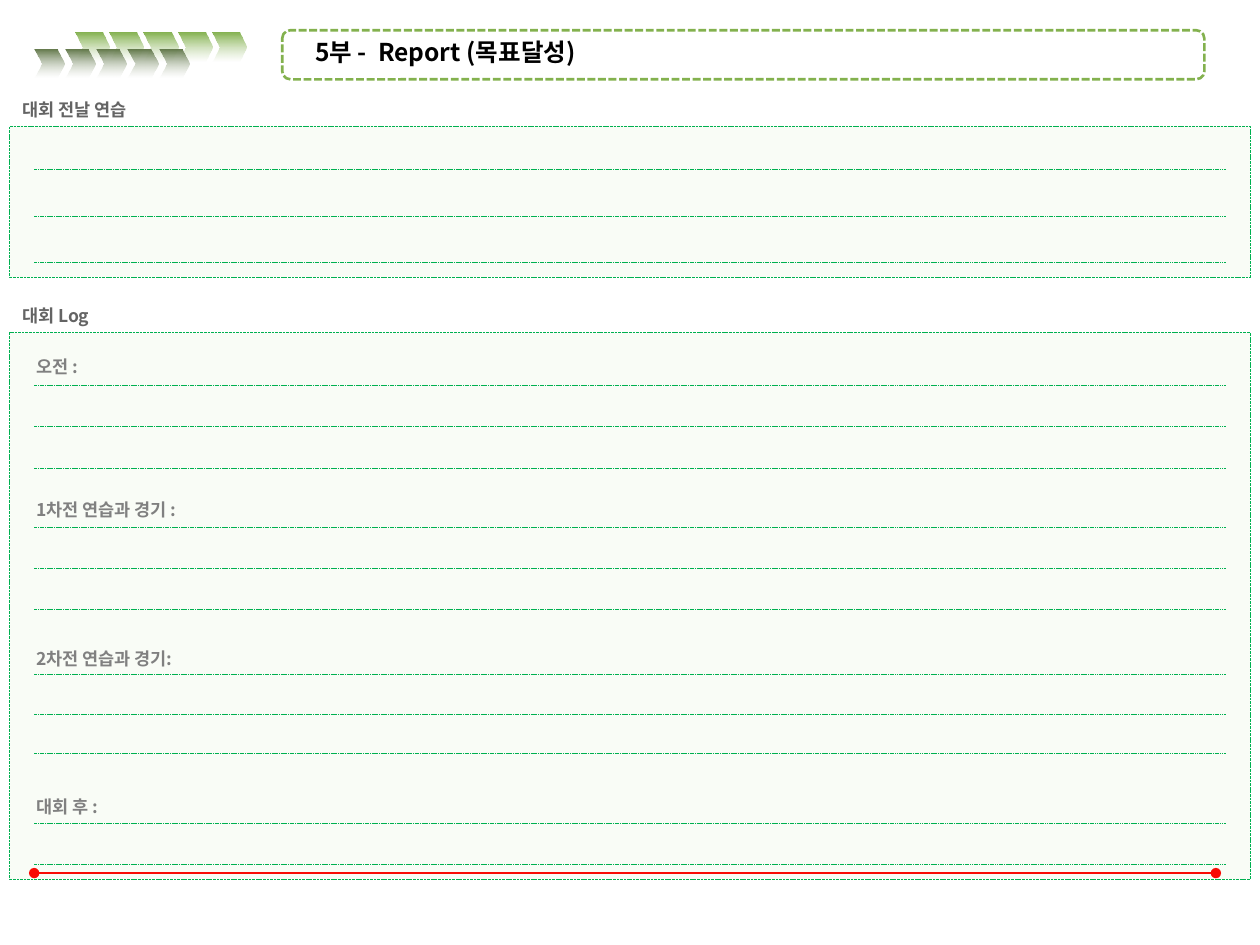
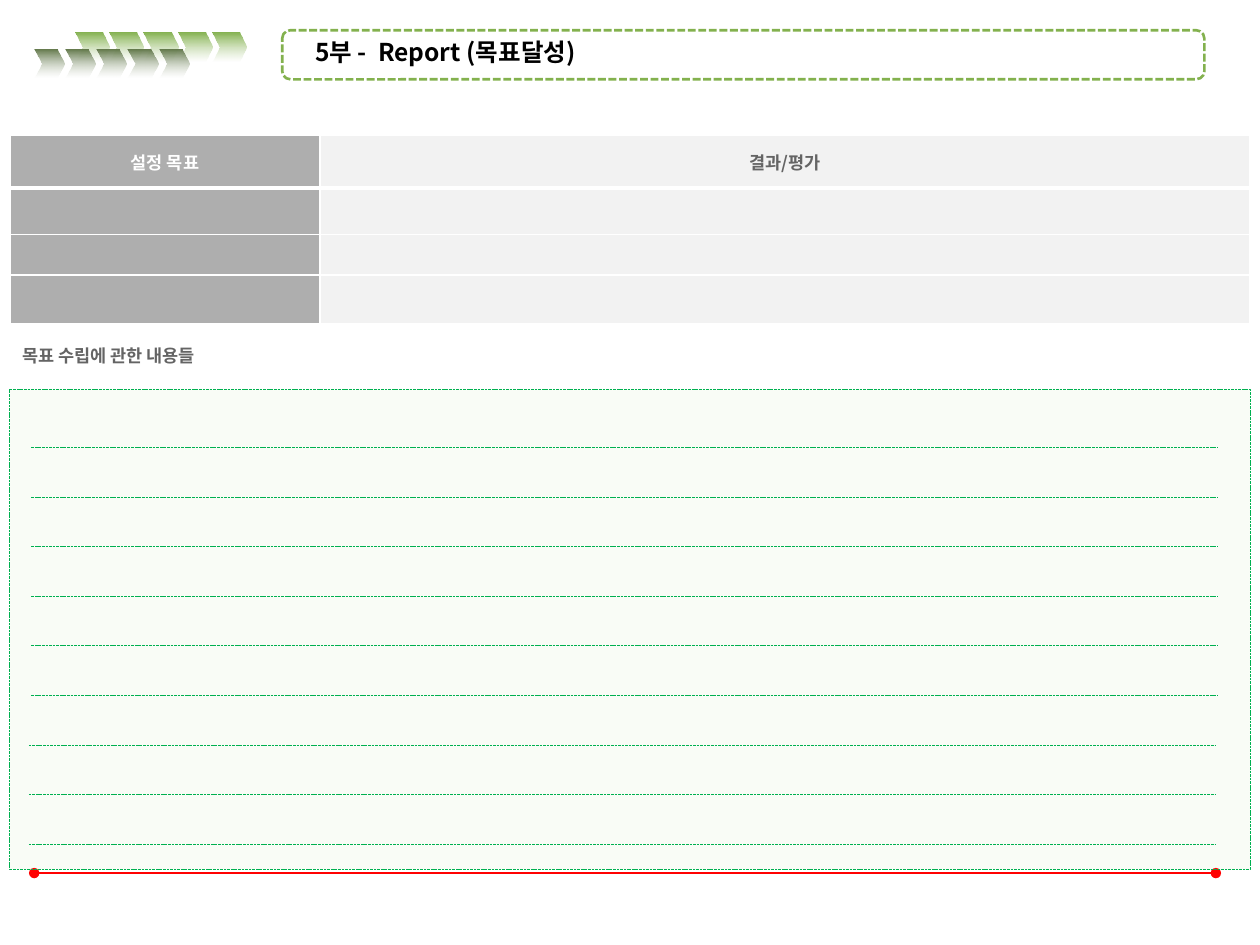
from lxml import etree
from pptx import Presentation
from pptx.dml.color import RGBColor
from pptx.enum.dml import MSO_LINE
from pptx.enum.shapes import MSO_CONNECTOR, MSO_SHAPE
from pptx.enum.text import MSO_ANCHOR, MSO_AUTO_SIZE, PP_ALIGN
from pptx.oxml.ns import qn
from pptx.util import Cm, Pt

STRAIGHT = MSO_CONNECTOR.STRAIGHT
RECT, ROUND_RECT, CHEVRON = MSO_SHAPE.RECTANGLE, MSO_SHAPE.ROUNDED_RECTANGLE, MSO_SHAPE.CHEVRON
SYS_DASH = MSO_LINE.SQUARE_DOT
TOP, MIDDLE = MSO_ANCHOR.TOP, MSO_ANCHOR.MIDDLE
LEFT, CENTER = PP_ALIGN.LEFT, PP_ALIGN.CENTER
GROW, FIXED = MSO_AUTO_SIZE.SHAPE_TO_FIT_TEXT, MSO_AUTO_SIZE.NONE

FONT = "Noto Sans CJK KR"
COLORS = {
    "title": "000000", "label": "646464", "prompt": "808080", "white": "FFFFFF",
    "leaf": "83B14E", "moss": "617749", "panel": "92D050", "rule": "00B050",
    "footer": "FF0101", "goal": "A6A6A6", "result": "F2F2F2",
}
TITLE = "5부 -  Report (목표달성)"
PANEL_LEFT, PANEL_WIDTH = 0.2, 25.0
LABEL_HEIGHT = 0.69
LOG_SECTIONS = [
    ("오전 :", 1.55, 0.35, 1.06, 0.83, 3),
    ("1차전 연습과 경기 :", 4.06, 3.22, 3.91, 0.83, 3),
    ("2차전 연습과 경기:", 4.22, 6.22, 6.89, 0.79, 3),
    ("대회 후 :", 2.08, 9.22, 9.89, 0.83, 2),
]
GOAL_COLUMNS = [6.25, 18.75]
GOAL_ROWS = [1.07, 0.94, 0.81, 0.99]
GOAL_HEADERS = [("설정 목표", "white"), ("결과/평가", "label")]


def rgb(name):
    """Return the named colour."""
    return RGBColor.from_string(COLORS[name])


def box(left, top, width, height):
    """Convert a box in centimetres to lengths."""
    return Cm(left), Cm(top), Cm(width), Cm(height)


def set_alpha(color_element, percent):
    """Give a colour element an opacity."""
    etree.SubElement(color_element, qn("a:alpha")).set("val", str(percent * 1000))


def style_text(p, size, color, align=LEFT):
    """Format a paragraph in the bold deck font."""
    p.alignment = align
    p.font.size, p.font.bold, p.font.name = Pt(size), True, FONT
    p.font.color.rgb = rgb(color)
    props = p._p.find(".//" + qn("a:defRPr"))
    etree.SubElement(props, qn("a:ea")).set("typeface", FONT)


def set_line(line, color, width, dash=None):
    """Set colour, width and dash of a line."""
    line.color.rgb = rgb(color)
    line.width = Pt(width)
    if dash is not None:
        line.dash_style = dash


def add_shape(s, kind, left, top, width, height, adj=None):
    """Add a shape without shadow."""
    sp = s.shapes.add_shape(kind, *box(left, top, width, height))
    sp.shadow.inherit = False
    if adj is not None:
        sp.adjustments[0] = adj
    return sp


def add_rule(s, left, right, y, color="rule", width=0.25, dash=SYS_DASH, ends=None):
    """Add a horizontal line, optionally with end marks."""
    cx = s.shapes.add_connector(STRAIGHT, Cm(left), Cm(y), Cm(right), Cm(y))
    set_line(cx.line, color, width, dash)
    if ends:
        ln = cx.element.spPr.find(qn("a:ln"))
        for tag in ("a:headEnd", "a:tailEnd"):
            etree.SubElement(ln, qn(tag)).set("type", ends)
    etree.SubElement(cx.element.spPr, qn("a:effectLst"))
    return cx


def add_label(s, text, left, top, width, color="label", wrap=False):
    """Add a small bold caption."""
    tf = s.shapes.add_textbox(*box(left, top, width, LABEL_HEIGHT)).text_frame
    tf.word_wrap, tf.auto_size = wrap, GROW
    tf.text = text
    style_text(tf.paragraphs[0], 10, color)


def add_chevrons(s, left, top, width, step, adj, color, opacity):
    """Return a row of five chevrons fading to white."""
    chevrons = []
    for i in range(5):
        sp = add_shape(s, CHEVRON, left + i * step, top, width, 0.58, adj)
        sp.line.fill.background()
        sp.fill.gradient()
        sp.fill.gradient_angle = 270
        for stop, name in zip(sp.fill.gradient_stops, (color, "white")):
            stop.color.rgb = rgb(name)
        set_alpha(sp.element.findall(".//" + qn("a:gs"))[-1][0], opacity)
        chevrons.append(sp)
    return chevrons


def decorate_layout(s):
    """Build the shared band and footer line and move them to the layout."""
    layout = s.slide_layout
    frame = add_shape(s, ROUND_RECT, 5.69, 0.61, 18.59, 0.99, 0.167)
    frame.fill.background()
    set_line(frame.line, "leaf", 1.5, SYS_DASH)
    shared = [add_rule(s, 0.69, 24.51, 17.6, "footer", 0.75, None, "oval"), frame]
    shared += add_chevrons(s, 1.52, 0.66, 0.69, 0.69, 0.25, "leaf", 52)
    shared += add_chevrons(s, 0.69, 0.99, 0.61, 0.63, 0.265, "moss", 36)
    for number, sp in enumerate(shared, 100):
        sp.element.find(".//" + qn("p:cNvPr")).set("id", str(number))
        layout.shapes.element.append(sp.element)
    title = layout.placeholders[0]
    title.left, title.top, title.width, title.height = box(6.1, 0.71, 11.76, 1.09)


def set_title(s):
    """Fill and format the title placeholder."""
    tf = s.shapes.title.text_frame
    tf.text = TITLE
    tf.vertical_anchor, tf.auto_size, tf.word_wrap = TOP, FIXED, True
    tf.margin_top = Cm(0.03)
    style_text(tf.paragraphs[0], 14, "title")


def add_panel(s, top, height, label, label_width, label_rise):
    """Add a tinted, dashed panel with its caption above."""
    sp = add_shape(s, RECT, PANEL_LEFT, top, PANEL_WIDTH, height)
    sp.fill.solid()
    sp.fill.fore_color.rgb = rgb("panel")
    set_alpha(sp.element.spPr.find(qn("a:solidFill"))[0], 5)
    set_line(sp.line, "rule", 0.5, SYS_DASH)
    add_label(s, label, PANEL_LEFT, top - label_rise, label_width)


def add_writing_lines(s, top, gap, count, inset=0.49, right_inset=0.49, width=0.25):
    """Add evenly spaced writing lines inside the panel width."""
    for i in range(count):
        add_rule(s, PANEL_LEFT + inset, PANEL_LEFT + PANEL_WIDTH - right_inset,
                 top + i * gap, width=width)


def add_goal_table(s, left, top):
    """Add the table of goals and results."""
    frame = s.shapes.add_table(len(GOAL_ROWS), len(GOAL_COLUMNS),
                               *box(left, top, sum(GOAL_COLUMNS), sum(GOAL_ROWS)))
    table = frame.table
    table.first_row = table.horz_banding = False
    for column, width in zip(table.columns, GOAL_COLUMNS):
        column.width = Cm(width)
    for r, height in enumerate(GOAL_ROWS):
        table.rows[r].height = Cm(height)
        for c, (header, color) in enumerate(GOAL_HEADERS):
            cell = table.cell(r, c)
            cell.vertical_anchor = MIDDLE
            cell.fill.solid()
            cell.fill.fore_color.rgb = rgb("result" if c else "goal")
            if r == 0:
                cell.text = header
            style_text(cell.text_frame.paragraphs[0], 10, color, CENTER)
    for i, props in enumerate(frame.element.iter(qn("a:tcPr"))):
        r, c = divmod(i, len(GOAL_COLUMNS))
        if c == 0:
            set_alpha(props.find(qn("a:solidFill"))[0], 90)
        add_cell_borders(props, {"L": 1, "R": 1, "T": 3 if r == 1 else 1, "B": 3 if r == 0 else 1})


def add_cell_borders(props, widths):
    """Give a cell white borders of the given widths."""
    for i, (side, width) in enumerate(widths.items()):
        ln = etree.Element(qn("a:ln" + side), w=str(Pt(width)))
        fill = etree.SubElement(ln, qn("a:solidFill"))
        etree.SubElement(fill, qn("a:srgbClr")).set("val", COLORS["white"])
        props.insert(i, ln)


def build_log_slide(s):
    """Fill the slide for practice notes and the competition log."""
    practice_top, log_top = 2.54, 6.71
    add_panel(s, practice_top, 3.05, "대회 전날 연습", 2.9, 0.66)
    add_writing_lines(s, practice_top + 0.88, 0.93, 3)
    add_panel(s, log_top, 11.02, "대회 Log", 1.98, 0.69)
    for text, width, label_top, line_top, gap, count in LOG_SECTIONS:
        add_label(s, text, PANEL_LEFT + 0.28, log_top + label_top, width, "prompt", True)
        add_writing_lines(s, log_top + line_top, gap, count)


def build_goal_slide(s):
    """Fill the slide for goals, results and notes."""
    notes_top = 7.85
    add_goal_table(s, PANEL_LEFT, 2.72)
    add_panel(s, notes_top, 9.68, "목표 수립에 관한 내용들", 4.45, 1.02)
    add_writing_lines(s, notes_top + 1.17, 1.0, 6, 0.43, 0.66, 0.5)
    add_writing_lines(s, notes_top + 7.17, 1.0, 3, 0.38, 0.7, 0.5)


def main():
    """Build and save the deck."""
    prs = Presentation()
    prs.slide_width, prs.slide_height = Cm(25.4), Cm(19.05)
    layout = prs.slide_layouts[5]
    for i, build in enumerate((build_log_slide, build_goal_slide)):
        s = prs.slides.add_slide(layout)
        if i == 0:
            decorate_layout(s)
        build(s)
        set_title(s)
    prs.save("out.pptx")


if __name__ == "__main__":
    main()
